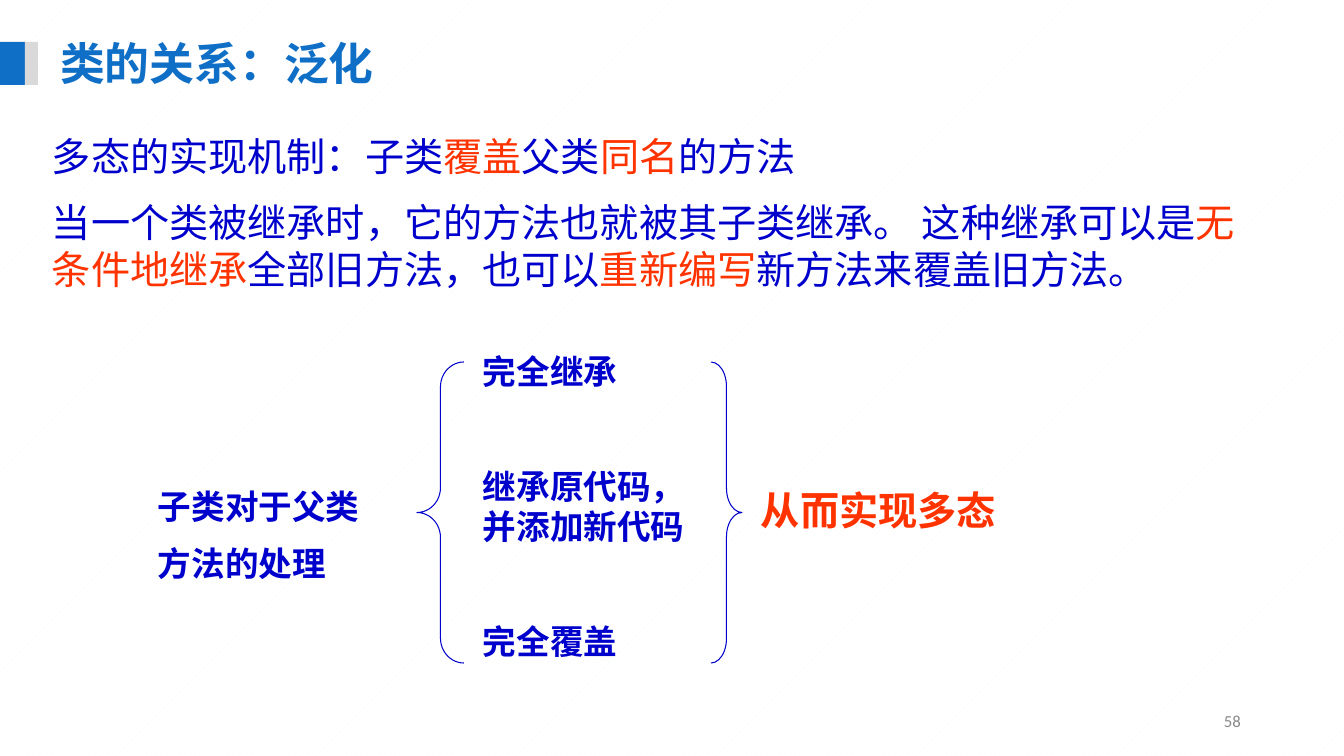
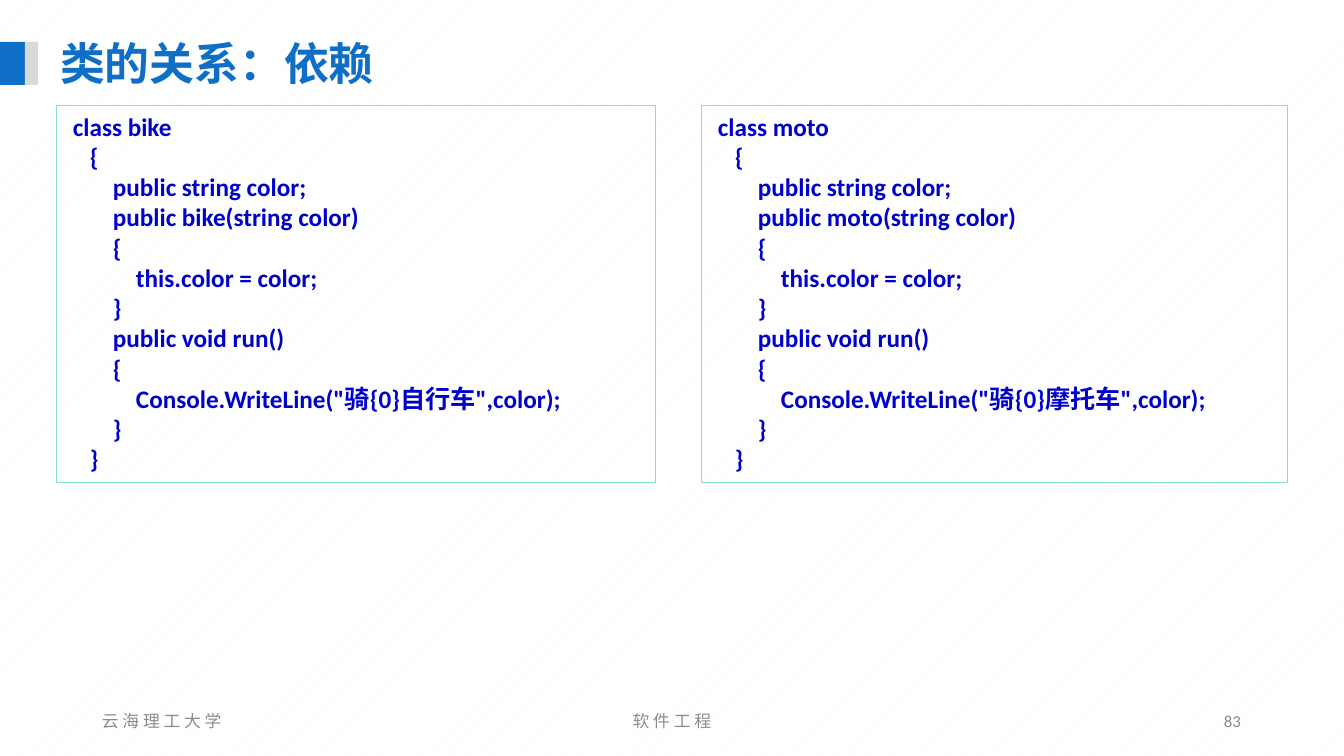
from lxml import etree
from pptx import Presentation
from pptx.dml.color import RGBColor
from pptx.enum.dml import MSO_PATTERN
from pptx.enum.shapes import MSO_SHAPE
from pptx.enum.text import MSO_ANCHOR, MSO_AUTO_SIZE, PP_ALIGN
from pptx.oxml.ns import qn
from pptx.util import Emu, Pt

RECTANGLE = MSO_SHAPE.RECTANGLE
LEFT_BRACE = MSO_SHAPE.LEFT_BRACE
RIGHT_BRACE = MSO_SHAPE.RIGHT_BRACE
LEFT, CENTER, RIGHT = PP_ALIGN.LEFT, PP_ALIGN.CENTER, PP_ALIGN.RIGHT
TOP, MIDDLE = MSO_ANCHOR.TOP, MSO_ANCHOR.MIDDLE
NO_AUTOFIT = MSO_AUTO_SIZE.NONE
DIAGONAL = MSO_PATTERN.WIDE_UPWARD_DIAGONAL

BLUE = RGBColor(0x0F, 0x6F, 0xC6)
LIGHT_GRAY = RGBColor(0xD9, 0xD9, 0xD9)
NAVY = RGBColor(0x00, 0x00, 0xCC)
RED = RGBColor(0xFF, 0x33, 0x00)
TEAL = RGBColor(0x85, 0xDF, 0xD0)
FOOTER_GRAY = RGBColor(0x8C, 0x8C, 0x8C)
NUMBER_GRAY = RGBColor(0x89, 0x89, 0x89)
WHITE = RGBColor(0xFF, 0xFF, 0xFF)
STRIPE = RGBColor(0xF9, 0xFB, 0xFC)

LATIN_FONT = "Calibri"
CHINESE_FONT = "Noto Sans CJK SC"
CHINESE_SPACING = 1.0
CODE_SPACING = Pt(21.6)
INDENT_STEP = 23
CODE_INSET = 6
EMU_PER_INCH = 914400
PX_PER_INCH = 100.8
TITLE_LAYOUT, BODY_LAYOUT = 5, 1


def px(length):
    return Emu(round(length * EMU_PER_INCH / PX_PER_INCH))


def place(shape, box):
    shape.left, shape.top, shape.width, shape.height = map(px, box)


def prepare_frame(shape, anchor=TOP):
    frame = shape.text_frame
    frame.word_wrap = True
    frame.auto_size = NO_AUTOFIT
    frame.vertical_anchor = anchor
    frame.margin_left = frame.margin_right = px(10)
    frame.margin_top = frame.margin_bottom = px(5)
    return frame


def add_run(paragraph, text, size, color, bold=False, font=CHINESE_FONT):
    run = paragraph.add_run()
    run.text = text
    run.font.size = Pt(size)
    run.font.bold = bold
    run.font.name = font
    run.font.color.rgb = color
    east_asian = etree.SubElement(run._r.get_or_add_rPr(), qn("a:ea"))
    east_asian.set("typeface", CHINESE_FONT)


def format_paragraph(paragraph, spacing, before=0, align=LEFT, indent=0):
    paragraph.alignment = align
    paragraph.line_spacing = spacing
    paragraph.space_before = Pt(before)
    paragraph.space_after = Pt(0)
    properties = paragraph._p.get_or_add_pPr()
    properties.set("marL", str(px(indent)))
    properties.set("indent", "0")
    etree.SubElement(properties, qn("a:buNone"))


def next_paragraph(frame, index):
    return frame.add_paragraph() if index else frame.paragraphs[0]


def write_chinese(shape, paragraphs, size, gap=0, bold=False):
    frame = prepare_frame(shape)
    for index, runs in enumerate(paragraphs):
        paragraph = next_paragraph(frame, index)
        format_paragraph(paragraph, CHINESE_SPACING, gap if index else 0)
        for text, color in runs:
            add_run(paragraph, text, size, color, bold)


def add_label(slide, box, lines, size, color, gap=0):
    label = slide.shapes.add_textbox(*map(px, box))
    write_chinese(label, [[(line, color)] for line in lines], size, gap, True)


def add_block(slide, kind, box, fill=None, line=None):
    shape = slide.shapes.add_shape(kind, *map(px, box))
    shape.shadow.inherit = False
    if fill is None:
        shape.fill.background()
    else:
        shape.fill.solid()
        shape.fill.fore_color.rgb = fill
    if line is None:
        shape.line.fill.background()
    else:
        shape.line.color.rgb = line
        shape.line.width = Pt(0.75)
    return shape


def add_brace(slide, kind, box, curve):
    brace = add_block(slide, kind, box, line=NAVY)
    brace.adjustments[0] = curve
    brace.adjustments[1] = 0.5


def add_code(slide, box, lines):
    frame = prepare_frame(add_block(slide, RECTANGLE, box, line=TEAL))
    for index, (level, text) in enumerate(lines):
        paragraph = next_paragraph(frame, index)
        indent = max(CODE_INSET, INDENT_STEP * level)
        format_paragraph(paragraph, CODE_SPACING, indent=indent)
        add_run(paragraph, text, 18, NAVY, True, LATIN_FONT)


def add_footer(slide, left, width, text, align, color=FOOTER_GRAY):
    footer = slide.shapes.add_textbox(px(left), px(701), px(width), px(40))
    paragraph = prepare_frame(footer, MIDDLE).paragraphs[0]
    paragraph.alignment = align
    add_run(paragraph, text, 12, color, font=LATIN_FONT)


def add_slide(presentation, layout, title, number):
    slide = presentation.slides.add_slide(presentation.slide_layouts[layout])
    add_block(slide, RECTANGLE, (0, 42, 25, 43), BLUE)
    add_block(slide, RECTANGLE, (25, 42, 13, 43), LIGHT_GRAY)
    place(slide.shapes.title, (50, 31, 788, 65))
    write_chinese(slide.shapes.title, [[(title, BLUE)]], 32, bold=True)
    add_footer(slide, 949, 302, str(number), RIGHT, NUMBER_GRAY)
    return slide


def class_lines(name, vehicle):
    return [
        (0, f"class {name}"),
        (1, "{"),
        (2, "public string color;"),
        (2, f"public {name}(string color)"),
        (2, "{"),
        (3, "this.color = color;"),
        (2, "}"),
        (2, "public void run()"),
        (2, "{"),
        (3, f'Console.WriteLine("骑{{0}}{vehicle}",color);'),
        (2, "}"),
        (1, "}"),
    ]


def build_generalization(presentation):
    slide = add_slide(presentation, BODY_LAYOUT, "类的关系：泛化", 58)
    body = slide.placeholders[1]
    place(body, (42, 127, 1221, 176))
    write_chinese(body, [
        [("多态的实现机制：子类", NAVY), ("覆盖", RED), ("父类", NAVY),
         ("同名", RED), ("的方法", NAVY)],
        [("当一个类被继承时，它的方法也就被其子类继承。 这种继承可以是", NAVY),
         ("无条件地继承", RED), ("全部旧方法，也可以", NAVY),
         ("重新编写", RED), ("新方法来覆盖旧方法。", NAVY)],
    ], 28, gap=14)
    add_label(slide, (148, 481, 292, 112), ["子类对于父类", "方法的处理"],
              24, NAVY, gap=12)
    add_label(slide, (473, 346, 230, 336),
              ["完全继承", "继承原代码，并添加新代码", "完全覆盖"],
              24, NAVY, gap=53)
    add_label(slide, (751, 481, 270, 57), ["从而实现多态"], 28, RED)
    add_brace(slide, LEFT_BRACE, (417, 362, 47, 301), 0.53)
    add_brace(slide, RIGHT_BRACE, (711, 362, 31, 301), 0.79)


def build_dependency(presentation):
    slide = add_slide(presentation, TITLE_LAYOUT, "类的关系：依赖", 83)
    add_code(slide, (57, 106, 599, 377), class_lines("bike", "自行车"))
    add_code(slide, (702, 106, 586, 377), class_lines("moto", "摩托车"))
    add_footer(slide, 92, 302, "云 海 理 工 大 学", LEFT)
    add_footer(slide, 445, 454, "软 件 工 程", CENTER)


def main():
    presentation = Presentation()
    presentation.slide_width, presentation.slide_height = px(1344), px(756)
    background = presentation.slide_master.background.fill
    background.patterned()
    background.pattern = DIAGONAL
    background.fore_color.rgb = STRIPE
    background.back_color.rgb = WHITE
    build_generalization(presentation)
    build_dependency(presentation)
    presentation.save("out.pptx")


if __name__ == "__main__":
    main()
